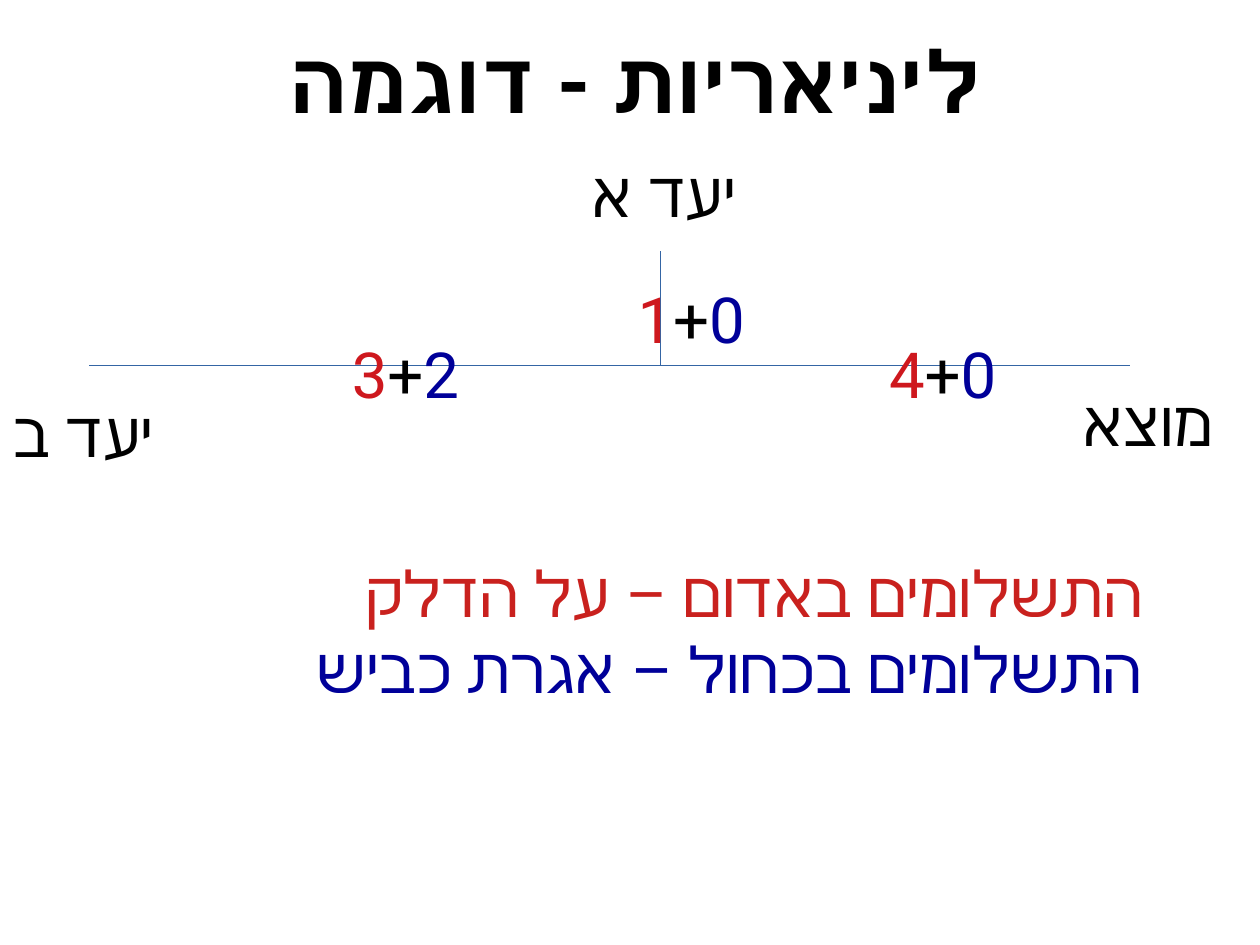
import pptx
import pptx.dml.color
import pptx.enum.shapes
import pptx.enum.text
import pptx.oxml
import pptx.oxml.ns
import pptx.util

Inches = pptx.util.Inches
RGBColor = pptx.dml.color.RGBColor
Align = pptx.enum.text.PP_ALIGN
Fit = pptx.enum.text.MSO_AUTO_SIZE

BLACK = RGBColor(0x00, 0x00, 0x00)
RED = RGBColor(0xCE, 0x18, 0x1E)
BRICK = RGBColor(0xC9, 0x21, 0x1E)
NAVY = RGBColor(0x00, 0x00, 0x99)
STEEL = RGBColor(0x34, 0x65, 0xA4)
FONT = "Roboto"


def add_run(para, text, color, size=40, bold=False):
    run = para.add_run()
    run.text = text
    run.font.color.rgb = color
    style = {"name": FONT, "size": pptx.util.Pt(size), "bold": bold}
    for key, value in style.items():
        setattr(run.font, key, value)
    # Hebrew letters take the complex-script font
    script = pptx.oxml.parse_xml(
        f'<a:cs {pptx.oxml.ns.nsdecls("a")} typeface="{FONT}"/>')
    run.font._element.append(script)


def add_box(left, top, width, height, wrap=False):
    box = slide.shapes.add_textbox(
        Inches(left), Inches(top), Inches(width), Inches(height))
    box.text_frame.word_wrap = wrap
    box.text_frame.auto_size = Fit.SHAPE_TO_FIT_TEXT
    return box.text_frame


# The page is 28 by 21 centimetres
deck = pptx.Presentation()
deck.slide_width = Inches(28 / 2.54)
deck.slide_height = Inches(21 / 2.54)
slide = deck.slides.add_slide(deck.slide_layouts[5])

# Title
title = slide.shapes.title
place = {"left": 0.1, "top": -0.04, "width": 10.92, "height": 1.47}
for key, value in place.items():
    setattr(title, key, Inches(value))
frame = title.text_frame
for side in ("left", "top", "right", "bottom"):
    setattr(frame, f"margin_{side}", 0)
frame.auto_size = Fit.NONE
frame.vertical_anchor = pptx.enum.text.MSO_ANCHOR.MIDDLE
para = frame.paragraphs[0]
para.alignment = Align.CENTER
para._p.get_or_add_pPr().set("rtl", "1")
add_run(para, "ליניאריות - דוגמה", BLACK, 54, True)

# Roads, as hairlines
for ends in ((9.88, 3.2, 0.78, 3.2), (5.78, 2.2, 5.78, 3.2)):
    road = slide.shapes.add_connector(
        pptx.enum.shapes.MSO_CONNECTOR.STRAIGHT, *map(Inches, ends))
    road.line.color.rgb = STEEL
    road.line.width = pptx.util.Pt(0.01)
    road._element.spPr.append(pptx.oxml.parse_xml(
        f'<a:effectLst {pptx.oxml.ns.nsdecls("a")}/>'))

# Places
places = (
    ("מוצא", 9.37, 3.3, 1.43),
    ("יעד א", 5.08, 1.3, 1.52),
    ("יעד ב", 0.01, 3.4, 1.47),
)
for name, left, top, width in places:
    add_run(add_box(left, top, width, 0.75).paragraphs[0], name, BLACK)

# Costs: fuel + toll
costs = (
    ("4", "0", 7.68, 2.88, 0.72),
    ("3", "2", 2.98, 2.88, 0.72),
    ("1", "0", 5.48, 2.4, 0.9),
)
for fuel, toll, left, top, height in costs:
    para = add_box(left, top, 1.14, height).paragraphs[0]
    for text, color in ((fuel, RED), ("+", BLACK), (toll, NAVY)):
        add_run(para, text, color)

# Legend
frame = add_box(0.8, 4.8, 9.3, 2.69, wrap=True)
frame.add_paragraph()
legend = (
    ("התשלומים באדום – על הדלק", BRICK),
    ("התשלומים בכחול – אגרת כביש", NAVY),
)
for para, (text, color) in zip(frame.paragraphs, legend):
    para.alignment = Align.RIGHT
    para._p.get_or_add_pPr().set("rtl", "1")
    add_run(para, text, color)

deck.save("out.pptx")
